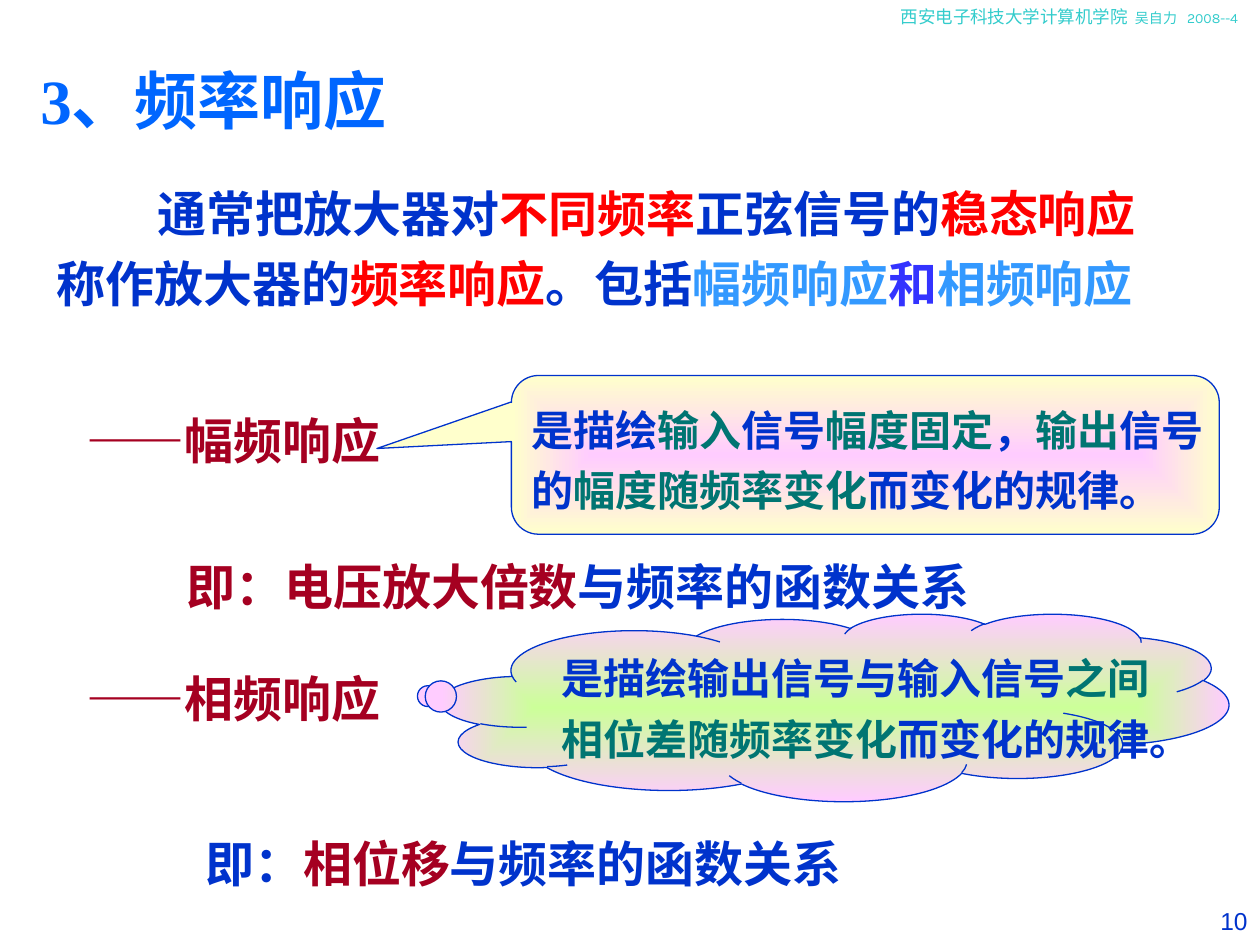
import pptx
import pptx.dml.color
import pptx.enum.dml
import pptx.enum.lang
import pptx.enum.shapes
import pptx.enum.text
import pptx.oxml
import pptx.oxml.ns
import pptx.util
from lxml import etree

Cm = pptx.util.Cm
Pt = pptx.util.Pt
SHAPE = pptx.enum.shapes.MSO_SHAPE
ALIGN = pptx.enum.text.PP_ALIGN
ANCHOR = pptx.enum.text.MSO_ANCHOR
BLUE, RED, MAROON, TEAL, SKY = "0033CC", "FF0000", "A50021", "007572", "3399FF"
HEADING = {"name": "Times New Roman", "size": Pt(36), "bold": True}
STATEMENT = HEADING | {"size": Pt(28)}
NOTE = STATEMENT | {"name": "Noto Sans CJK SC", "size": Pt(24)}


def colour(value):
    """Return the colour named by a hex string."""
    return pptx.dml.color.RGBColor.from_string(value)


def set_values(target, values):
    """Set attributes from a dict of format values."""
    for name, value in values.items():
        setattr(target, name, value)


def add_spans(para, spans, font):
    """Fill a paragraph with (text, colour, extra font values) spans."""
    for text, shade, *extra in spans:
        span = para.add_run()
        span.text = text
        set_values(span.font, font | (extra[0] if extra else {}))
        span.font.language_id = pptx.enum.lang.MSO_LANGUAGE_ID.SIMPLIFIED_CHINESE
        span.font.color.rgb = colour(shade)
        east_asian = etree.SubElement(span.font._element, pptx.oxml.ns.qn("a:ea"))
        east_asian.set("typeface", "Noto Sans CJK SC")


def write(shape, lines, font, layout=None, **frame_values):
    """Write lines of spans into a shape and return its paragraphs."""
    frame = shape.text_frame
    set_values(frame, {"word_wrap": True, "vertical_anchor": ANCHOR.TOP} | frame_values)
    paras = [frame.paragraphs[0]] + [frame.add_paragraph() for _ in lines[1:]]
    for para, spans in zip(paras, lines):
        set_values(para, {"alignment": ALIGN.LEFT} | (layout or {}))
        add_spans(para, spans, font)
    return paras


def add_text(page, box, spans, font, layout=None):
    """Add a one-paragraph text box and return its paragraph."""
    shape = page.shapes.add_textbox(*map(Cm, box))
    return write(shape, [spans], font, layout)[0]


def add_header(page, box):
    """Place the author line with its tab stops."""
    spans = [("西安电子科技大学计算机学院\t", "33CCCC"),
             ("吴自力\t2008--4", "33CCCC", {"size": Pt(8)})]
    para = add_text(page, box, spans, {"name": "Karla", "size": Pt(10)})
    stops = etree.SubElement(para._p.get_or_add_pPr(), pptx.oxml.ns.qn("a:tabLst"))
    for position in (4.72, 5.77):
        etree.SubElement(stops, pptx.oxml.ns.qn("a:tab"), pos=str(Cm(position)), algn="l")


def add_title(page, box):
    """Place the heading in the title placeholder."""
    title = page.shapes.title
    set_values(title, dict(zip(("left", "top", "width", "height"), map(Cm, box))))
    write(title, [[("3、频率响应", "0066FF")]], HEADING, word_wrap=False,
          auto_size=pptx.enum.text.MSO_AUTO_SIZE.NONE)


def add_definition(page, box):
    """Place the definition with an indented first line."""
    spans = [("通常把放大器对", BLUE), ("不同频率", RED), ("正弦信号的", BLUE),
             ("稳态响应", RED), ("称作放大器的", BLUE), ("频率响应", RED), ("。包括", BLUE),
             ("幅频响应", SKY), ("和", "3333FF"), ("相频响应", SKY)]
    para = add_text(page, box, spans, STATEMENT, {"line_spacing": 1.2})
    para._p.get_or_add_pPr().set("indent", str(Cm(2.03)))


def add_callout(page, box, kind, adjustments, shades, lines):
    """Add a callout with a gradient spreading from its centre."""
    callout = page.shapes.add_shape(kind, *map(Cm, box))
    callout.shadow.inherit = False
    for index, value in enumerate(adjustments):
        callout.adjustments[index] = value
    callout.fill.gradient()
    for stop, position, shade in zip(callout.fill.gradient_stops, (0, 1), shades):
        stop.position = position
        stop.color.rgb = colour(shade)
    linear = callout._element.spPr.find(".//" + pptx.oxml.ns.qn("a:lin"))
    linear.getparent().replace(linear, pptx.oxml.parse_xml(
        f'<a:path {pptx.oxml.ns.nsdecls("a")} path="rect">'
        '<a:fillToRect l="50000" t="50000" r="50000" b="50000"/></a:path>'))
    callout.line.color.rgb = colour(BLUE)
    callout.line.width = Pt(0.75)
    write(callout, lines, NOTE, {"line_spacing": 1.2},
          word_wrap=False, vertical_anchor=ANCHOR.MIDDLE)


def add_response(page, box, term, term_top, callout_box, callout, summary_box, summary):
    """Place a term, its callout and its summary relative to the box."""
    left, top, width, height = box

    def inside(x, y, w, h):
        return left + x, top + y, w, h

    add_text(page, inside(0, term_top, 8.4, 1.45), [("——" + term, MAROON)], STATEMENT)
    add_callout(page, inside(*callout_box), *callout)
    add_text(page, inside(*summary_box), summary, STATEMENT, {"line_spacing": 1.1})


def add_number(page, box):
    """Place the page number."""
    add_text(page, box, [("10", BLUE)], {"name": "Arial", "size": Pt(14)},
             {"alignment": ALIGN.RIGHT})


def main():
    """Build the slide and save the deck."""
    deck = pptx.Presentation()
    deck.slide_width, deck.slide_height = Cm(25.4), Cm(19.05)
    page = deck.slides.add_slide(deck.slide_layouts[5])
    add_header(page, (17.91, 0, 7.49, 1.02))
    add_title(page, (0.56, 1.12, 7.8, 1.78))
    add_definition(page, (0.89, 3.33, 23.01, 3.1))
    amplitude_lines = [
        [("是描绘", BLUE), ("输入", TEAL), ("信号", BLUE), ("幅度固定", TEAL),
         ("，", BLUE), ("输出", TEAL), ("信号", BLUE)],
        [("的", BLUE), ("幅度随频率变化", TEAL), ("而变化的规律。", BLUE)]]
    phase_lines = [
        [("是描绘输出信号与输入信号", BLUE), ("之间", TEAL)],
        [("相位差随频率变化", TEAL), ("而变化的规律。", BLUE)]]
    add_response(
        page, (1.5, 7.57, 23.1, 5), "幅频响应", 0.58, (8.81, 0, 14.27, 3.2),
        (SHAPE.ROUNDED_RECTANGULAR_CALLOUT, (-0.69, -0.04, 0.17),
         ("FFCCFF", "FFFFCC"), amplitude_lines),
        (2.01, 3.4, 16.99, 1.57),
        [("即：电压放大倍数", MAROON), ("与频率的函数关系", BLUE)])
    add_response(
        page, (1.5, 12.37, 23.3, 5.8), "相频响应", 0.99, (7.39, 0, 15.88, 3.78),
        (SHAPE.CLOUD_CALLOUT, (-0.52, -0.06), ("CCFF99", "FFCCFF"), phase_lines),
        (2.39, 4.19, 14.6, 1.57),
        [("即：", BLUE), ("相位移", MAROON), ("与频率的函数关系", BLUE)])
    add_number(page, (24.31, 18.14, 1.09, 0.91))
    deck.save("out.pptx")


if __name__ == "__main__":
    main()
